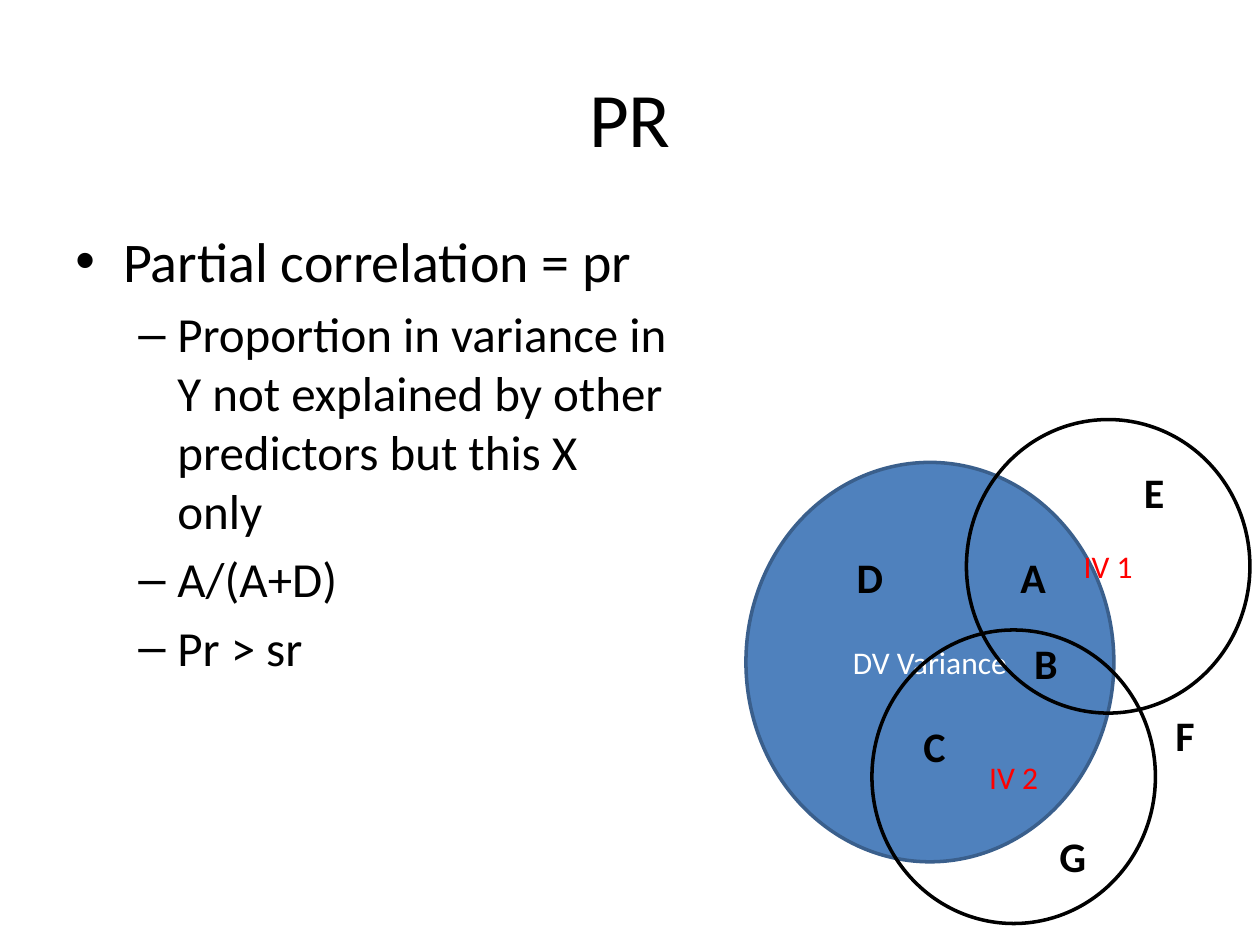
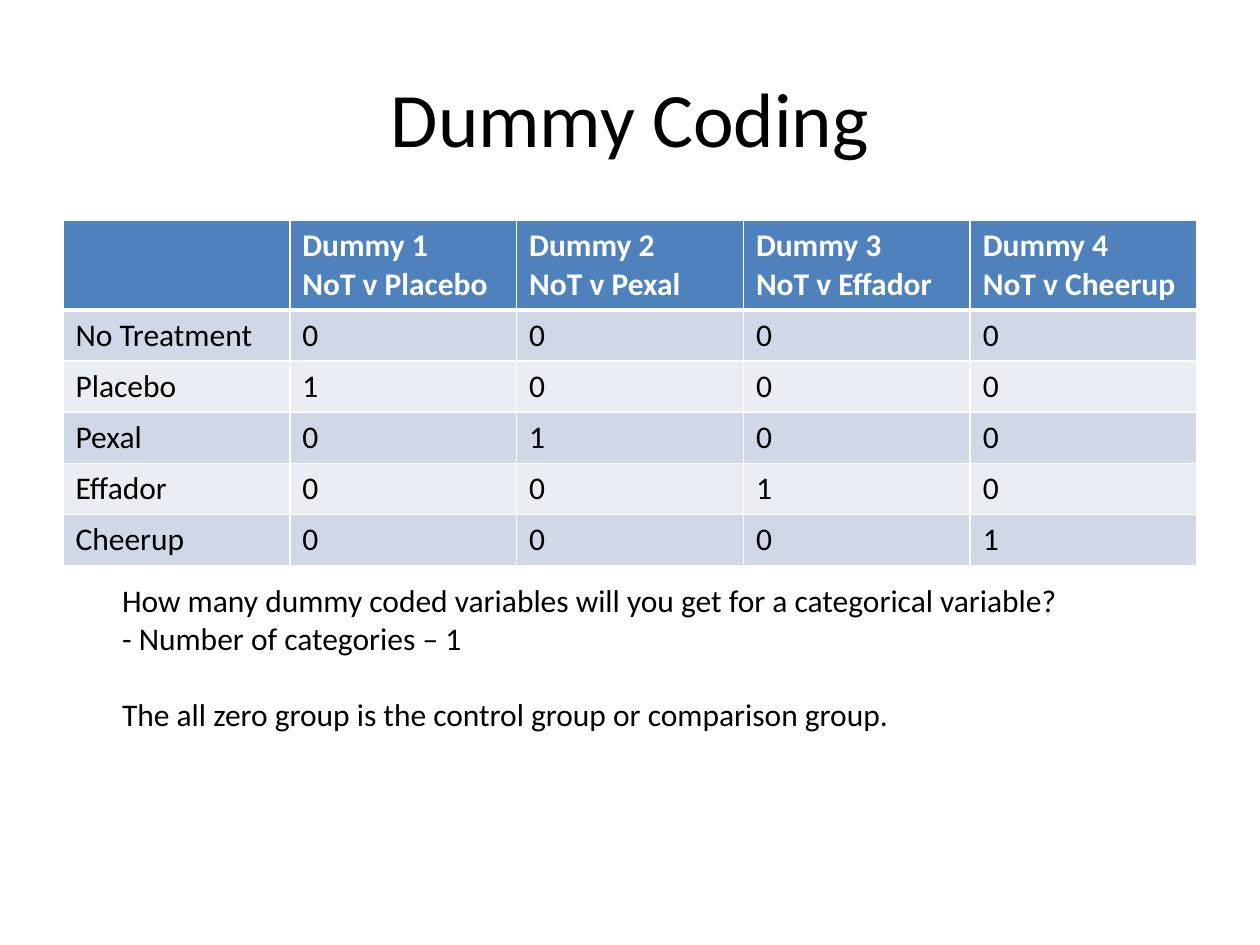
from lxml.etree import SubElement
from pptx import Presentation
from pptx.dml.color import RGBColor
from pptx.enum.shapes import MSO_SHAPE as Shape
from pptx.enum.text import MSO_ANCHOR as Anchor, PP_ALIGN as Align
from pptx.oxml import parse_xml
from pptx.oxml.ns import nsdecls, qn
from pptx.util import Inches, Pt

FONT = "Calibri"
BLACK = RGBColor(0x00, 0x00, 0x00)
WHITE = RGBColor(0xFF, 0xFF, 0xFF)
RED = RGBColor(0xFF, 0x00, 0x00)
BLUE = RGBColor(0x4F, 0x81, 0xBD)
DARK_BLUE = RGBColor(0x3A, 0x5F, 0x8C)
BANDS = (RGBColor(0xD0, 0xD8, 0xE8), RGBColor(0xE9, 0xED, 0xF4))

# Content shared by both slides
MARGIN, CONTENT_TOP, CONTENT_WIDTH = 0.5, 1.75, 9
TITLE_BOX = (MARGIN, 0.3, CONTENT_WIDTH, 1.25)

# Partial correlation: level and text of each point
POINTS = [
    (0, "Partial correlation = pr"),
    (1, "Proportion in variance in Y not explained by other predictors but this X only"),
    (1, "A/(A+D)"),
    (1, "Pr > sr"),
]
# Size, bullet, left margin and hanging indent of each level
LEVELS = [(32, "•", 0.38, 0.38), (28, "–", 0.81, 0.31)]

# Label, box, fill, outline, text colour
CIRCLES = [
    ("DV Variance", (5.92, 3.67, 2.92, 3.17), BLUE, DARK_BLUE, WHITE),
    ("IV 1", (7.67, 3.33, 2.25, 2.33), None, BLACK, RED),
    ("IV 2", (6.92, 5, 2.25, 2.33), None, BLACK, RED),
]
REGIONS = {"A": (8, 4.33), "B": (8.11, 5.01), "C": (7.23, 5.67), "D": (6.7, 4.33),
           "E": (8.98, 3.65), "F": (9.23, 5.58), "G": (8.31, 6.54)}

# Dummy coding: the first group is the control, each other group has its own dummy
GROUPS = ["No Treatment", "Placebo", "Pexal", "Effador", "Cheerup"]
HEADER_HEIGHT, ROW_HEIGHT = 0.7, 0.405
# Text and points of space before
NOTES = [
    ("How many dummy coded variables will you get for a categorical variable?", 0),
    ("- Number of categories – 1", 0),
    ("The all zero group is the control group or comparison group.", 22),
]


def inches(box):
    return [Inches(length) for length in box]


def add_run(paragraph, text, size, color=BLACK, bold=False):
    run = paragraph.add_run()
    run.text = text
    run.font.name, run.font.size, run.font.bold = FONT, Pt(size), bold
    run.font.color.rgb = color


def next_paragraph(frame, index):
    return frame.add_paragraph() if index else frame.paragraphs[0]


def add_slide(presentation, title_text):
    slide = presentation.slides.add_slide(presentation.slide_layouts[5])
    title = slide.shapes.title
    title.left, title.top, title.width, title.height = inches(TITLE_BOX)
    title.text_frame.vertical_anchor = Anchor.MIDDLE
    paragraph = title.text_frame.paragraphs[0]
    paragraph.alignment = Align.CENTER
    add_run(paragraph, title_text, 44)
    return slide


def add_text_frame(slide, box, wrap):
    frame = slide.shapes.add_textbox(*inches(box)).text_frame
    frame.word_wrap = wrap
    return frame


def set_bullet(paragraph, character, margin, hanging):
    properties = paragraph._p.get_or_add_pPr()
    properties.set("marL", str(Inches(margin)))
    properties.set("indent", str(-Inches(hanging)))
    SubElement(properties, qn("a:buFont")).set("typeface", "Arial")
    SubElement(properties, qn("a:buChar")).set("char", character)


def add_points(slide):
    frame = add_text_frame(slide, (MARGIN, CONTENT_TOP, 4.92, 4.95), True)
    for index, (level, text) in enumerate(POINTS):
        size, character, margin, hanging = LEVELS[level]
        paragraph = next_paragraph(frame, index)
        set_bullet(paragraph, character, margin, hanging)
        paragraph.level = level
        paragraph.space_before = Pt(0.2 * size if index else 0)
        add_run(paragraph, text, size)


def add_circle(slide, label, box, fill, outline, text_color):
    circle = slide.shapes.add_shape(Shape.OVAL, *inches(box))
    circle.shadow.inherit = False
    if fill is None:
        circle.fill.background()
    else:
        circle.fill.solid()
        circle.fill.fore_color.rgb = fill
    circle.line.color.rgb, circle.line.width = outline, Pt(2)
    paragraph = circle.text_frame.paragraphs[0]
    paragraph.alignment = Align.CENTER
    add_run(paragraph, label, 18, text_color)


def set_borders(cell, **widths):
    properties = cell._tc.get_or_add_tcPr()
    for index, side in enumerate("LRTB"):
        width = Pt(widths.get(side, 1))
        properties.insert(index, parse_xml(
            f'<a:ln{side} {nsdecls("a")} w="{width}"><a:solidFill>'
            f'<a:srgbClr val="{WHITE}"/></a:solidFill></a:ln{side}>'))


def add_coding_table(slide):
    treatments = GROUPS[1:]
    header = [[]] + [[f"Dummy {number}", f"NoT v {name}"]
                     for number, name in enumerate(treatments, 1)]
    body = [[[group]] + [[str(int(group == name))] for name in treatments]
            for group in GROUPS]
    rows = [header] + body
    height = HEADER_HEIGHT + ROW_HEIGHT * len(body)
    table = slide.shapes.add_table(
        len(rows), len(header),
        *inches((MARGIN, CONTENT_TOP, CONTENT_WIDTH, height))).table
    for row_index, row in enumerate(rows):
        is_header = row_index == 0
        table.rows[row_index].height = Inches(HEADER_HEIGHT if is_header else ROW_HEIGHT)
        for column_index, lines in enumerate(row):
            cell = table.cell(row_index, column_index)
            cell.fill.solid()
            cell.fill.fore_color.rgb = BLUE if is_header else BANDS[(row_index - 1) % 2]
            set_borders(cell, T=3 if row_index == 1 else 1, B=3 if is_header else 1)
            for index, line in enumerate(lines):
                add_run(next_paragraph(cell.text_frame, index), line, 18,
                        WHITE if is_header else BLACK, is_header)


def add_notes(slide):
    frame = add_text_frame(slide, (0.87, 4.56, 7.71, 1.31), False)
    for index, (text, space) in enumerate(NOTES):
        paragraph = next_paragraph(frame, index)
        paragraph.space_before = Pt(space)
        add_run(paragraph, text, 18)


def main():
    presentation = Presentation()
    presentation.slide_width, presentation.slide_height = inches((10, 7.5))

    # Partial correlation with overlapping variances
    slide = add_slide(presentation, "PR")
    add_points(slide)
    for circle in CIRCLES:
        add_circle(slide, *circle)
    for letter, (left, top) in REGIONS.items():
        frame = add_text_frame(slide, (left, top, 0.4, 0.5), False)
        add_run(frame.paragraphs[0], letter, 24, bold=True)

    # Dummy coding table
    slide = add_slide(presentation, "Dummy Coding")
    add_coding_table(slide)
    add_notes(slide)

    presentation.save("out.pptx")


if __name__ == "__main__":
    main()
